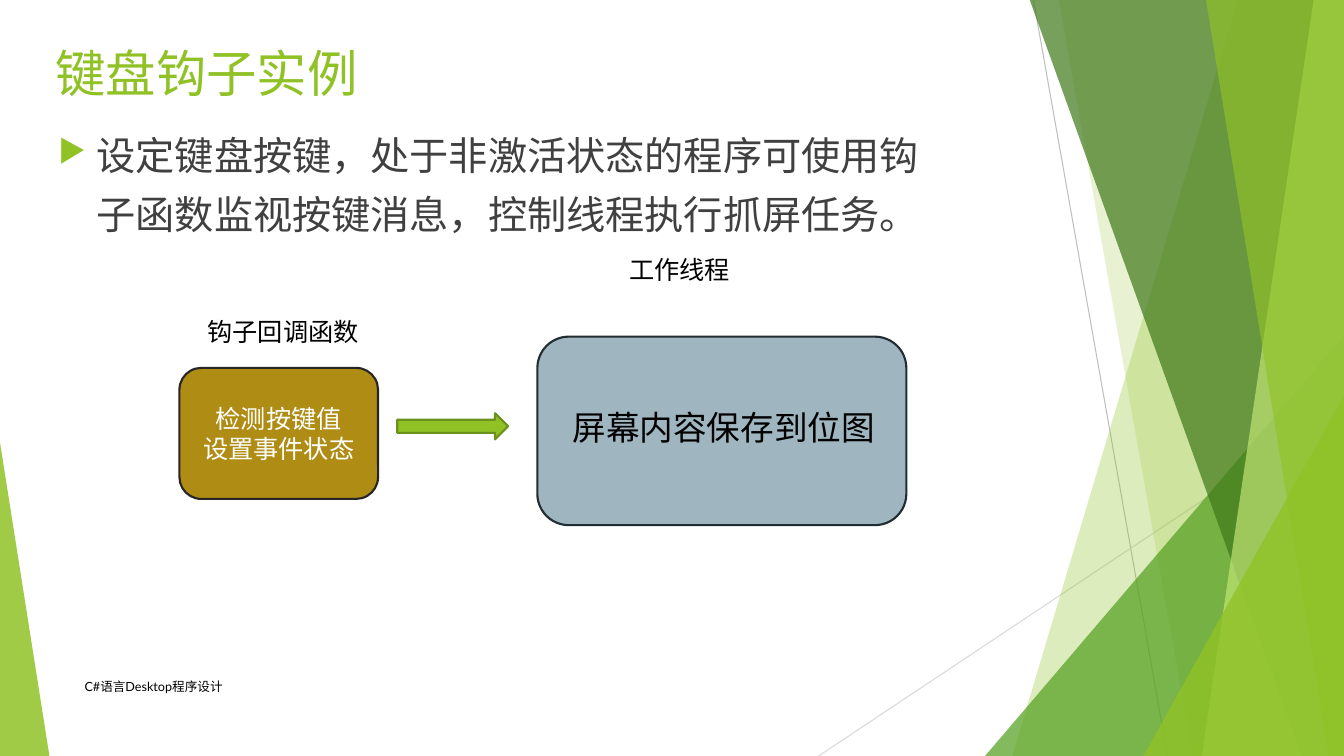
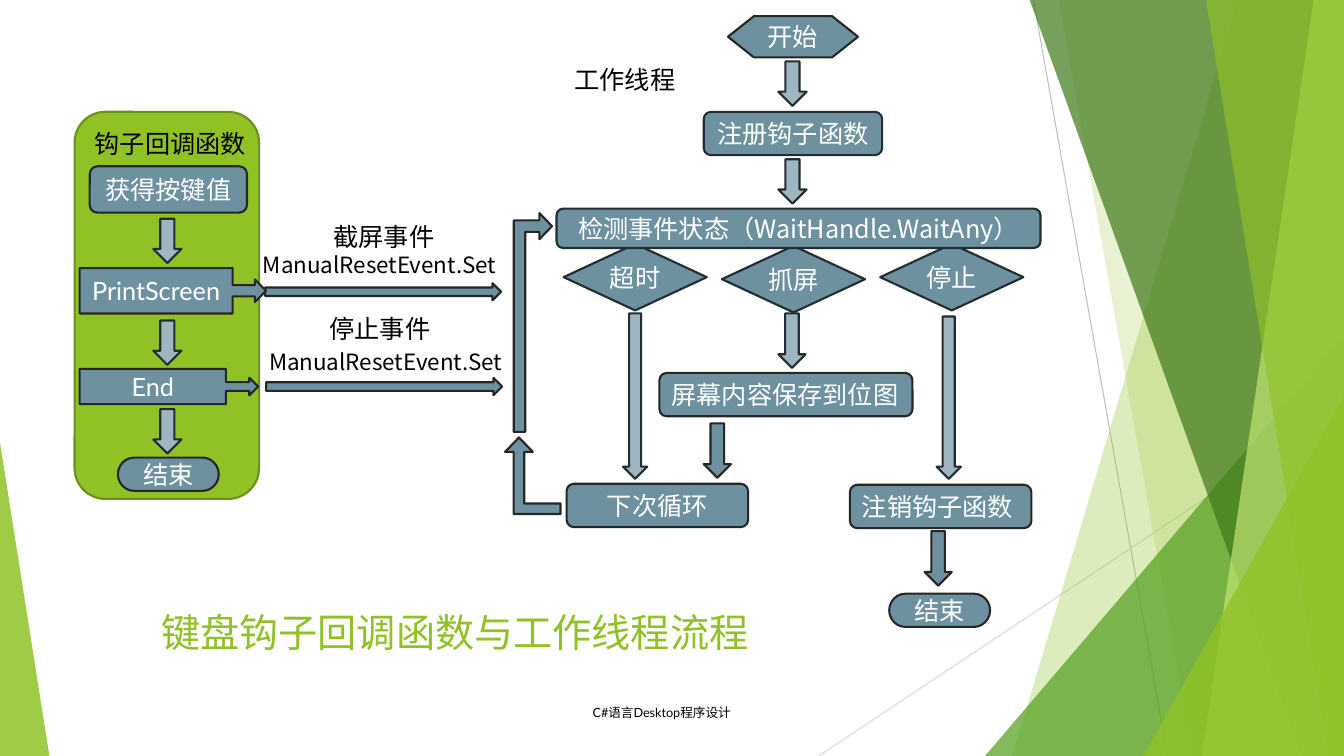
from dataclasses import dataclass

from lxml import etree
from pptx import Presentation
from pptx.dml.color import RGBColor
from pptx.enum.shapes import MSO_CONNECTOR, MSO_SHAPE
from pptx.enum.text import MSO_ANCHOR, MSO_AUTO_SIZE, PP_ALIGN
from pptx.oxml.ns import qn
from pptx.slide import Slide
from pptx.text.text import TextFrame
from pptx.util import Pt

PX = 9144
WIDTH, HEIGHT = 1333, 750
LATO = "Lato"
CJK = "Noto Sans CJK SC"

GREEN = RGBColor(0x90, 0xC2, 0x26)
MID_GREEN = RGBColor(0x54, 0xA0, 0x21)
DARK_GREEN = RGBColor(0x3F, 0x78, 0x19)
PALE_GREEN = RGBColor(0xC0, 0xE4, 0x74)
EDGE_GREEN = RGBColor(0x6B, 0x90, 0x1C)
SLATE = RGBColor(0x6E, 0x91, 0xA0)
MIST = RGBColor(0x9F, 0xB6, 0xC0)
GOLD = RGBColor(0xAF, 0x8C, 0x14)
INK = RGBColor(0x26, 0x26, 0x26)
NAVY = RGBColor(0x21, 0x2D, 0x32)
BODY_GRAY = RGBColor(0x40, 0x40, 0x40)
LINE_GRAY = RGBColor(0xBF, 0xBF, 0xBF)
LIGHT_GRAY = RGBColor(0xD9, 0xD9, 0xD9)
BLACK = RGBColor(0, 0, 0)
WHITE = RGBColor(255, 255, 255)

STRAIGHT = MSO_CONNECTOR.STRAIGHT
ROUND = MSO_SHAPE.ROUNDED_RECTANGLE
TRIANGLE = MSO_SHAPE.ISOSCELES_TRIANGLE
DIAMOND = MSO_SHAPE.DIAMOND
DOWN = MSO_SHAPE.DOWN_ARROW
RIGHT = MSO_SHAPE.RIGHT_ARROW
BENT = MSO_SHAPE.BENT_UP_ARROW
CALLOUT = MSO_SHAPE.RIGHT_ARROW_CALLOUT
TERMINATOR = MSO_SHAPE.FLOWCHART_TERMINATOR
PREPARATION = MSO_SHAPE.FLOWCHART_PREPARATION
LEFT, CENTER = PP_ALIGN.LEFT, PP_ALIGN.CENTER
TOP, MIDDLE = MSO_ANCHOR.TOP, MSO_ANCHOR.MIDDLE
GROW = MSO_AUTO_SIZE.SHAPE_TO_FIT_TEXT

CALLOUT_ADJUST = (0.25, 0.25, 0.25, 0.82)


@dataclass(frozen=True)
class Node:
    kind: int
    left: int
    top: int
    width: int
    height: int
    text: str = ""
    fill: RGBColor = SLATE
    line: RGBColor | None = INK
    adjust: tuple[float, ...] = ()
    align: int = CENTER
    font: str = CJK
    turn: int = 0
    flip: str = ""
    opacity: int = 100


@dataclass(frozen=True)
class Label:
    left: int
    top: int
    width: int
    height: int
    text: str
    size: int = 18
    color: RGBColor = BLACK
    font: str = CJK
    anchor: int = TOP
    wrap: bool = False


@dataclass(frozen=True)
class Ribbon:
    points: tuple[tuple[int, int], ...]
    color: RGBColor
    opacity: int


@dataclass(frozen=True)
class Ray:
    start: tuple[int, int]
    end: tuple[int, int]
    color: RGBColor


def ribbon(top_left: int, bottom_left: int, color: RGBColor, opacity: int) -> Ribbon:
    corners = ((top_left, -1), (WIDTH, -1), (WIDTH, HEIGHT), (bottom_left, HEIGHT))
    return Ribbon(corners, color, opacity)


def facet(left: int, top: int, width: int, peak: int, color: RGBColor, opacity: int) -> Node:
    return Node(TRIANGLE, left, top, width, HEIGHT - top, fill=color, line=None,
                adjust=(peak,), opacity=opacity)


RAYS = (
    Ray((1025, 0), (1158, HEIGHT), LINE_GRAY),
    Ray((WIDTH, 403), (812, HEIGHT), LIGHT_GRAY),
)
FACETS = (
    ribbon(1228, 1004, GREEN, 30),
    ribbon(1050, 1183, GREEN, 20),
    facet(977, 333, 356, 1, MID_GREEN, 72),
    ribbon(1021, 1291, DARK_GREEN, 70),
    ribbon(1303, 1192, PALE_GREEN, 70),
    ribbon(1196, 1318, GREEN, 65),
    facet(1134, 393, 199, 1, GREEN, 80),
    facet(0, 439, 49, 0, GREEN, 85),
)


def style_text(frame: TextFrame, text: str, size: int, color: RGBColor, font: str, align: int) -> None:
    frame.text = text
    for para in frame.paragraphs:
        para.alignment = align
        for span in para.runs:
            span.font.size = Pt(size)
            span.font.name = font
            span.font.color.rgb = color
            etree.SubElement(span._r.get_or_add_rPr(), qn("a:ea"), typeface=CJK)


def paint(shape, color: RGBColor, opacity: int) -> None:
    shape.shadow.inherit = False
    shape.fill.solid()
    shape.fill.fore_color.rgb = color
    if opacity < 100:
        swatch = shape._element.spPr.find(f".//{qn('a:srgbClr')}")
        etree.SubElement(swatch, qn("a:alpha"), val=str(opacity * 1000))


def draw_ribbon(page: Slide, item: Ribbon) -> None:
    builder = page.shapes.build_freeform(*item.points[0], scale=float(PX))
    builder.add_line_segments(item.points[1:], close=True)
    shape = builder.convert_to_shape()
    paint(shape, item.color, item.opacity)
    shape.line.fill.background()


def draw_ray(page: Slide, ray: Ray) -> None:
    ends = [value * PX for value in ray.start + ray.end]
    connector = page.shapes.add_connector(STRAIGHT, *ends)
    connector.line.color.rgb = ray.color
    connector.line.width = Pt(0.75)
    etree.SubElement(connector._element.spPr, qn("a:effectLst"))


def draw_node(page: Slide, node: Node) -> None:
    shape = page.shapes.add_shape(
        node.kind, node.left * PX, node.top * PX, node.width * PX, node.height * PX)
    paint(shape, node.fill, node.opacity)
    if node.line is None:
        shape.line.fill.background()
    else:
        shape.line.color.rgb = node.line
        shape.line.width = Pt(1.5)
    for index, value in enumerate(node.adjust):
        shape.adjustments[index] = value
    shape.rotation = node.turn
    if node.flip:
        shape._element.spPr.xfrm.set(node.flip, "1")
    if node.text:
        frame = shape.text_frame
        frame.word_wrap = node.align == LEFT
        frame.vertical_anchor = MIDDLE
        style_text(frame, node.text, 18, WHITE, node.font, node.align)


def draw_label(page: Slide, label: Label) -> TextFrame:
    box = page.shapes.add_textbox(
        label.left * PX, label.top * PX, label.width * PX, label.height * PX)
    frame = box.text_frame
    frame.word_wrap = label.wrap
    if not label.wrap:
        frame.auto_size = GROW
    frame.vertical_anchor = label.anchor
    style_text(frame, label.text, label.size, label.color, label.font, LEFT)
    return frame


def draw_all(page: Slide, items: tuple[Node | Label | Ribbon, ...]) -> None:
    drawers = {Node: draw_node, Label: draw_label, Ribbon: draw_ribbon}
    for item in items:
        drawers[type(item)](page, item)


def add_bullet(frame: TextFrame) -> None:
    para = frame.paragraphs[0]
    properties = para._p.get_or_add_pPr()
    properties.set("marL", str(38 * PX))
    properties.set("indent", str(-38 * PX))
    color = etree.SubElement(properties, qn("a:buClr"))
    etree.SubElement(color, qn("a:srgbClr"), val=str(GREEN))
    etree.SubElement(properties, qn("a:buSzPct"), val="80000")
    etree.SubElement(properties, qn("a:buChar"), char="▶")
    para.line_spacing = 1.25


def start_page(deck) -> Slide:
    page = deck.slides.add_slide(deck.slide_layouts[6])
    for ray in RAYS:
        draw_ray(page, ray)
    draw_all(page, FACETS)
    return page


def title(left: int, top: int, width: int, height: int, text: str, size: int, font: str) -> Label:
    return Label(left, top, width, height, text, size, GREEN, font, wrap=True)


def footer(left: int, top: int, width: int, height: int) -> Label:
    return Label(left, top, width, height, "C#语言Desktop程序设计", 9, BLACK, LATO, MIDDLE, True)


def step_arrow(left: int, top: int, width: int = 28, height: int = 44) -> Node:
    return Node(DOWN, left, top, width, height, fill=MIST, line=NAVY)


def build_example(deck) -> None:
    page = start_page(deck)
    draw_all(page, (footer(74, 661, 689, 40), title(45, 37, 344, 97, "键盘钩子实例", 36, LATO)))
    body = Label(48, 114, 889, 181,
                 "设定键盘按键，处于非激活状态的程序可使用钩子函数监视按键消息，控制线程执行抓屏任务。",
                 28, BODY_GRAY, wrap=True)
    add_bullet(draw_label(page, body))
    draw_all(page, (
        Node(ROUND, 533, 334, 366, 187, fill=MIST, line=NAVY),
        Node(ROUND, 178, 365, 197, 130, "检测按键值\n设置事件状态", GOLD),
        Label(614, 247, 121, 40, "工作线程"),
        Label(196, 309, 172, 40, "钩子回调函数"),
        Node(RIGHT, 394, 410, 110, 26, fill=GREEN, line=EDGE_GREEN),
        Label(558, 399, 323, 50, "屏幕内容保存到位图", 24),
    ))


def build_flow(deck) -> None:
    page = start_page(deck)
    draw_all(page, (
        Node(ROUND, 74, 111, 183, 384, fill=GREEN, line=EDGE_GREEN),
        footer(578, 682, 317, 50),
        title(150, 599, 614, 68, "键盘钩子回调函数与工作线程流程", 28, CJK),
        Label(560, 59, 121, 40, "工作线程"),
        Label(84, 122, 172, 40, "钩子回调函数"),
        Node(ROUND, 89, 165, 156, 46, "获得按键值"),
    ))
    for index, (text, top) in enumerate((("超时", 242), ("抓屏", 244), ("停止", 242))):
        draw_node(page, Node(DIAMOND, 559 + 157 * index, top, 142, 66, text, line=NAVY))
    draw_all(page, (
        Node(PREPARATION, 722, 16, 129, 41, "开始"),
        step_arrow(772, 61),
        Node(ROUND, 698, 111, 177, 43, "注册钩子函数", line=NAVY),
        step_arrow(772, 158),
        Node(ROUND, 552, 207, 480, 39, "检测事件状态（WaitHandle.WaitAny）", line=NAVY),
        step_arrow(618, 311, 24, 164),
        step_arrow(772, 311, 27, 54),
        step_arrow(929, 314, 24, 161),
        Node(ROUND, 654, 370, 251, 43, "屏幕内容保存到位图", align=LEFT),
        Node(DOWN, 698, 420, 27, 54),
        Node(ROUND, 562, 480, 180, 43, "下次循环"),
        Node(ROUND, 843, 481, 180, 43, "注销钩子函数", align=LEFT),
        Node(DOWN, 917, 527, 27, 54),
        Node(TERMINATOR, 882, 589, 100, 33, "结束"),
        Node(BENT, 420, 301, 217, 38, adjust=(0.3, 0.34, 0.33), turn=270, flip="flipV"),
        Node(BENT, 501, 434, 55, 76, adjust=(0.19, 0.25, 0.26), flip="flipH"),
        Label(321, 215, 121, 40, "截屏事件"),
        Label(251, 244, 258, 37, "ManualResetEvent.Set", 16),
        Node(RIGHT, 263, 281, 234, 17),
        Label(317, 306, 121, 40, "停止事件"),
        Label(257, 340, 258, 37, "ManualResetEvent.Set", 16),
        Node(RIGHT, 264, 375, 234, 17),
        Node(CALLOUT, 79, 266, 185, 45, "PrintScreen", adjust=CALLOUT_ADJUST, font=LATO),
        Node(CALLOUT, 79, 366, 177, 35, "End", adjust=CALLOUT_ADJUST, font=LATO),
        Node(TERMINATOR, 117, 454, 100, 33, "结束"),
    ))
    for top in (217, 318, 406):
        draw_node(page, step_arrow(152, top))


def main() -> None:
    deck = Presentation()
    deck.slide_width = WIDTH * PX
    deck.slide_height = HEIGHT * PX
    build_example(deck)
    build_flow(deck)
    deck.save("out.pptx")


if __name__ == "__main__":
    main()
